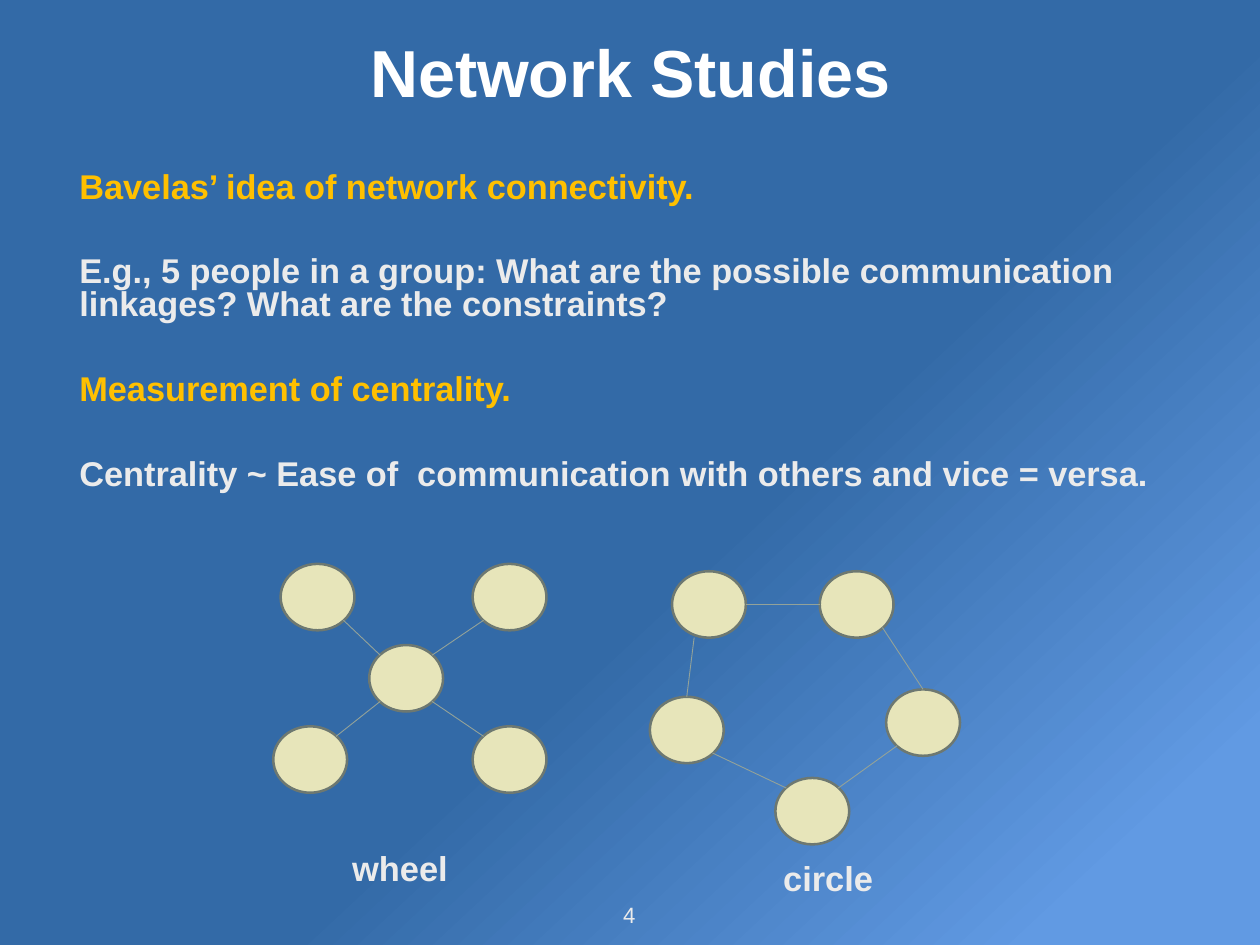
from math import sqrt
from lxml.etree import SubElement
from pptx import Presentation
from pptx.dml.color import RGBColor
from pptx.enum.shapes import MSO_CONNECTOR, MSO_SHAPE
from pptx.enum.text import MSO_ANCHOR, MSO_AUTO_SIZE, PP_ALIGN
from pptx.oxml.ns import qn
from pptx.util import Pt

PX = 9525  # 96 px to the inch
FONT = "Arial"
COLORS = {name: RGBColor.from_string(value) for name, value in {
    "deep": "336AA7", "sky": "619AE3", "white": "FFFFFF", "gold": "FFC000",
    "pale": "EBEBEB", "node": "E7E5BA", "rim": "6D7871", "link": "93A299",
}.items()}

deck = Presentation()
deck.slide_width, deck.slide_height = 1365 * PX, 1024 * PX
page = deck.slides.add_slide(deck.slide_layouts[6])

# Background
backdrop = page.background.fill
backdrop.gradient()
backdrop.gradient_angle = 313
for stop, color, position in zip(backdrop.gradient_stops, ("deep", "sky"), (0.57, 0.9)):
    stop.color.rgb = COLORS[color]
    stop.position = position


def add_text(area, lines, size, bold=True, align=PP_ALIGN.LEFT, inset=6,
             anchor=MSO_ANCHOR.MIDDLE, wrap=True):
    box = page.shapes.add_textbox(*(length * PX for length in area))
    frame = box.text_frame
    frame.word_wrap = wrap
    frame.auto_size = MSO_AUTO_SIZE.NONE if wrap else MSO_AUTO_SIZE.SHAPE_TO_FIT_TEXT
    frame.vertical_anchor = anchor
    if inset is not None:
        frame.margin_left = frame.margin_right = inset * PX
        frame.margin_top = frame.margin_bottom = inset * PX
    frame.text = "\n".join(text for text, color in lines)
    for para, (text, color) in zip(frame.paragraphs, lines):
        para.alignment = align
        for span in para.runs:
            span.font.name = FONT
            span.font.size = Pt(size)
            span.font.bold = bold
            span.font.color.rgb = COLORS[color]
    return frame


# Title, body and page number
add_text((80, 13, 1206, 128), [("Network Studies", "white")], 54, align=PP_ALIGN.CENTER)
body = add_text((80, 165, 1206, 391), [
    ("Bavelas’ idea of network connectivity.", "gold"),
    ("E.g., 5 people in a group: What are the possible communication linkages? "
     "What are the constraints?", "pale"),
    ("Measurement of centrality.", "gold"),
    ("Centrality ~ Ease of  communication with others and vice = versa.", "pale"),
], 27.9)
for para in body.paragraphs:
    para.line_spacing = 0.8
    para.space_before = Pt(42)
add_text((669, 972, 25, 39), [("4", "pale")], 18, bold=False,
         align=PP_ALIGN.CENTER, wrap=False)

# People in the two networks
NODE_WIDTH, NODE_HEIGHT = 80, 72
nodes = {
    "hub": (400, 699), "wheel nw": (304, 611), "wheel ne": (512, 611),
    "wheel se": (512, 787), "wheel sw": (296, 787),
    "circle nw": (728, 619), "circle w": (704, 755), "circle s": (840, 843),
    "circle e": (960, 747), "circle ne": (888, 619),
}
for left, top in nodes.values():
    node = page.shapes.add_shape(MSO_SHAPE.OVAL, left * PX, top * PX,
                                 NODE_WIDTH * PX, NODE_HEIGHT * PX)
    node.shadow.inherit = False
    node.fill.solid()
    node.fill.fore_color.rgb = COLORS["node"]
    node.line.color.rgb = COLORS["rim"]
    node.line.width = Pt(2.08)

# Points on a node's rim, as fractions of its half width and half height
D = 1 / sqrt(2)
rim = {"top": (0, -1), "left": (-1, 0), "right": (1, 0), "bottom": (-0.4, 1),
       "nw": (-D, -D), "ne": (D, -D), "sw": (-D, D), "se": (D, D)}


def rim_point(name, side):
    left, top = nodes[name]
    across, down = rim[side]
    return (round(left + NODE_WIDTH / 2 * (1 + across)) * PX,
            round(top + NODE_HEIGHT / 2 * (1 + down)) * PX)


# Communication links
links = [
    ("circle nw", "right", "circle ne", "left"),
    ("circle ne", "se", "circle e", "top"),
    ("circle e", "sw", "circle s", "ne"),
    ("circle nw", "bottom", "circle w", "top"),
    ("circle w", "se", "circle s", "nw"),
]
opposite = {"nw": "se", "ne": "sw", "se": "nw", "sw": "ne"}
links += [("hub", side, f"wheel {side}", facing) for side, facing in opposite.items()]
for start, start_side, end, end_side in links:
    link = page.shapes.add_connector(MSO_CONNECTOR.STRAIGHT, *rim_point(start, start_side),
                                     *rim_point(end, end_side))
    link.line.color.rgb = COLORS["link"]
    link.line.width = Pt(0.75)
    SubElement(link.element.spPr, qn("a:effectLst"))

# Network labels
for label, area in (("wheel", (372, 913, 124, 55)), ("circle", (839, 924, 118, 55))):
    add_text(area, [(label, "pale")], 28, inset=None, anchor=MSO_ANCHOR.TOP, wrap=False)

deck.save("out.pptx")
